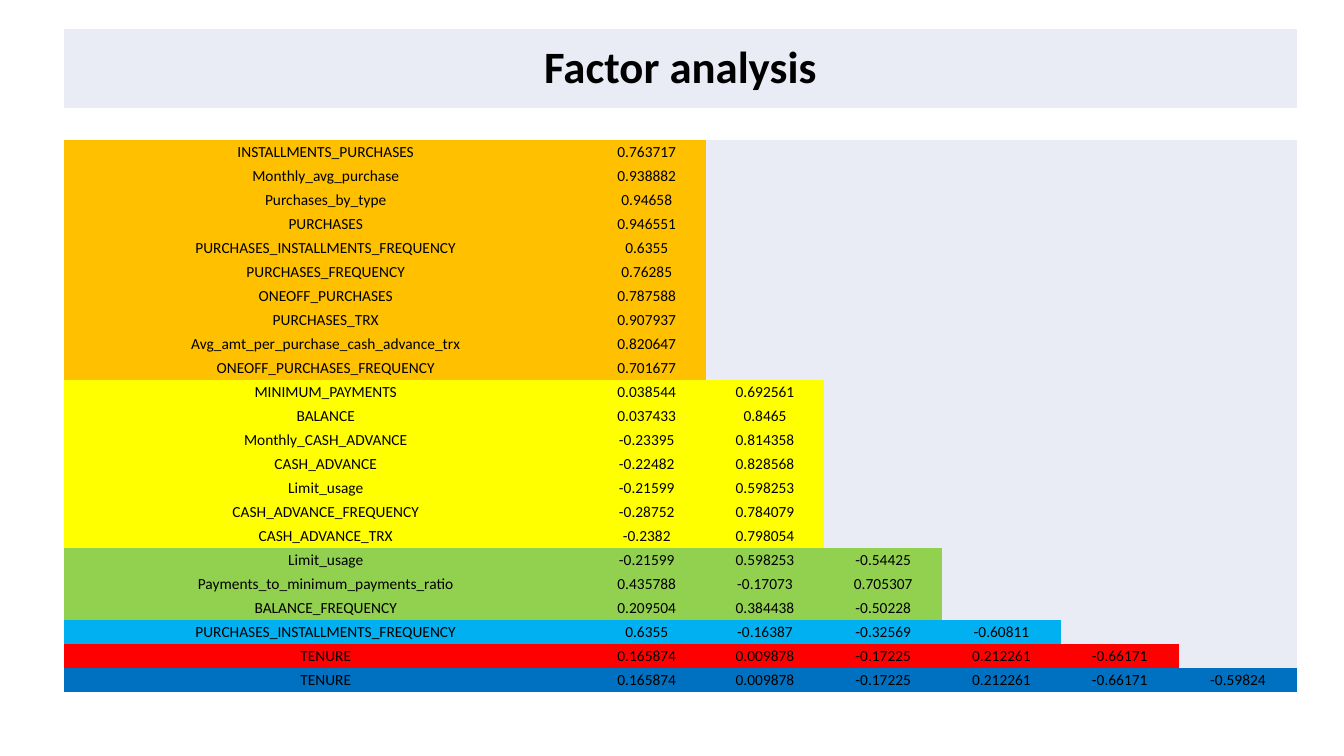
from dataclasses import dataclass

import lxml.etree
import pptx
import pptx.dml.color
import pptx.enum.text
import pptx.oxml.ns
import pptx.table
import pptx.util
from pptx.util import Cm


@dataclass(frozen=True)
class Theme:
    font: str = "Calibri"
    title_size: float = 32
    body_size: float = 11
    border_width: float = 1
    text: str = "000000"
    border: str = "FFFFFF"
    panel: str = "E9EBF5"
    orange: str = "FFC000"
    yellow: str = "FFFF00"
    green: str = "92D050"
    cyan: str = "00B0F0"
    red: str = "FF0000"
    blue: str = "0070C0"


@dataclass(frozen=True)
class Variable:
    name: str
    loadings: tuple[str, ...]


@dataclass(frozen=True)
class Factor:
    color: str
    variables: tuple[Variable, ...]


THEME = Theme()
NO_STYLE_NO_GRID = "{2D5ABB26-0587-4C30-8999-92F81FD0307C}"

# Shared geometry, in centimetres
LEFT = 1.61
NAME_WIDTH, LOADING_WIDTH = 13.2, 2.98
TITLE_TOP, TITLE_HEIGHT = 0.71, 2.02
LOADINGS_TOP, LOADINGS_HEIGHT = 3.53, 13.92

# Each factor adds one column of loadings
FACTORS = (
    Factor(THEME.orange, (
        Variable("INSTALLMENTS_PURCHASES", ("0.763717",)),
        Variable("Monthly_avg_purchase", ("0.938882",)),
        Variable("Purchases_by_type", ("0.94658",)),
        Variable("PURCHASES", ("0.946551",)),
        Variable("PURCHASES_INSTALLMENTS_FREQUENCY", ("0.6355",)),
        Variable("PURCHASES_FREQUENCY", ("0.76285",)),
        Variable("ONEOFF_PURCHASES", ("0.787588",)),
        Variable("PURCHASES_TRX", ("0.907937",)),
        Variable("Avg_amt_per_purchase_cash_advance_trx", ("0.820647",)),
        Variable("ONEOFF_PURCHASES_FREQUENCY", ("0.701677",)),
    )),
    Factor(THEME.yellow, (
        Variable("MINIMUM_PAYMENTS", ("0.038544", "0.692561")),
        Variable("BALANCE", ("0.037433", "0.8465")),
        Variable("Monthly_CASH_ADVANCE", ("-0.23395", "0.814358")),
        Variable("CASH_ADVANCE", ("-0.22482", "0.828568")),
        Variable("Limit_usage", ("-0.21599", "0.598253")),
        Variable("CASH_ADVANCE_FREQUENCY", ("-0.28752", "0.784079")),
        Variable("CASH_ADVANCE_TRX", ("-0.2382", "0.798054")),
    )),
    Factor(THEME.green, (
        Variable("Limit_usage", ("-0.21599", "0.598253", "-0.54425")),
        Variable("Payments_to_minimum_payments_ratio", ("0.435788", "-0.17073", "0.705307")),
        Variable("BALANCE_FREQUENCY", ("0.209504", "0.384438", "-0.50228")),
    )),
    Factor(THEME.cyan, (
        Variable("PURCHASES_INSTALLMENTS_FREQUENCY",
                 ("0.6355", "-0.16387", "-0.32569", "-0.60811")),
    )),
    Factor(THEME.red, (
        Variable("TENURE", ("0.165874", "0.009878", "-0.17225", "0.212261", "-0.66171")),
    )),
    Factor(THEME.blue, (
        Variable("TENURE",
                 ("0.165874", "0.009878", "-0.17225", "0.212261", "-0.66171", "-0.59824")),
    )),
)


def add_plain_table(slide, top: float, height: float, widths: list[float],
                    row_count: int) -> pptx.table.Table:
    """Add an unstyled table with equal row heights."""
    frame = slide.shapes.add_table(row_count, len(widths), Cm(LEFT), Cm(top),
                                   Cm(sum(widths)), Cm(height))
    table = frame.table
    table.first_row = table.horz_banding = False
    style = frame._element.find(".//" + pptx.oxml.ns.qn("a:tableStyleId"))
    style.text = NO_STYLE_NO_GRID
    for column, width in zip(table.columns, widths):
        column.width = Cm(width)
    for row in table.rows:
        row.height = Cm(height / row_count)
    return table


def fill_cell(cell, text: str, color: str, size: float, bold: bool = False) -> None:
    """Colour a cell and centre its text."""
    cell.fill.solid()
    cell.fill.fore_color.rgb = pptx.dml.color.RGBColor.from_string(color)
    cell.margin_left = cell.margin_right = cell.margin_top = Cm(0.02)
    cell.margin_bottom = 0
    cell.vertical_anchor = pptx.enum.text.MSO_ANCHOR.MIDDLE
    paragraph = cell.text_frame.paragraphs[0]
    paragraph.alignment = pptx.enum.text.PP_ALIGN.CENTER
    if not text:
        # A small end mark keeps an empty cell from stretching its row
        lxml.etree.SubElement(paragraph._p, pptx.oxml.ns.qn("a:endParaRPr"),
                              sz=str(int(size * 100)))
        return
    run = paragraph.add_run()
    run.text = text
    run.font.name = THEME.font
    run.font.size = pptx.util.Pt(size)
    run.font.bold = bold
    run.font.color.rgb = pptx.dml.color.RGBColor.from_string(THEME.text)


def outline_cell(cell, color: str, width: float) -> None:
    """Draw all four borders of a cell."""
    properties = cell._tc.get_or_add_tcPr()
    for index, side in enumerate(("a:lnL", "a:lnR", "a:lnT", "a:lnB")):
        line = lxml.etree.Element(pptx.oxml.ns.qn(side), w=str(pptx.util.Pt(width)))
        fill = lxml.etree.SubElement(line, pptx.oxml.ns.qn("a:solidFill"))
        lxml.etree.SubElement(fill, pptx.oxml.ns.qn("a:srgbClr"), val=color)
        properties.insert(index, line)


def main() -> None:
    presentation = pptx.Presentation()
    presentation.slide_width, presentation.slide_height = Cm(33.87), Cm(19.05)
    slide = presentation.slides.add_slide(presentation.slide_layouts[6])
    widths = [NAME_WIDTH] + [LOADING_WIDTH] * len(FACTORS)

    # Title band
    title = add_plain_table(slide, TITLE_TOP, TITLE_HEIGHT, [sum(widths)], 1).cell(0, 0)
    fill_cell(title, "Factor analysis", THEME.panel, THEME.title_size, bold=True)
    outline_cell(title, THEME.border, THEME.border_width)

    # Factor loadings
    rows = [(factor.color, (variable.name, *variable.loadings))
            for factor in FACTORS for variable in factor.variables]
    table = add_plain_table(slide, LOADINGS_TOP, LOADINGS_HEIGHT, widths, len(rows))
    for row, (color, texts) in zip(table.rows, rows):
        for index, cell in enumerate(row.cells):
            used = index < len(texts)
            fill_cell(cell, texts[index] if used else "",
                      color if used else THEME.panel, THEME.body_size)

    presentation.save("out.pptx")


if __name__ == "__main__":
    main()
